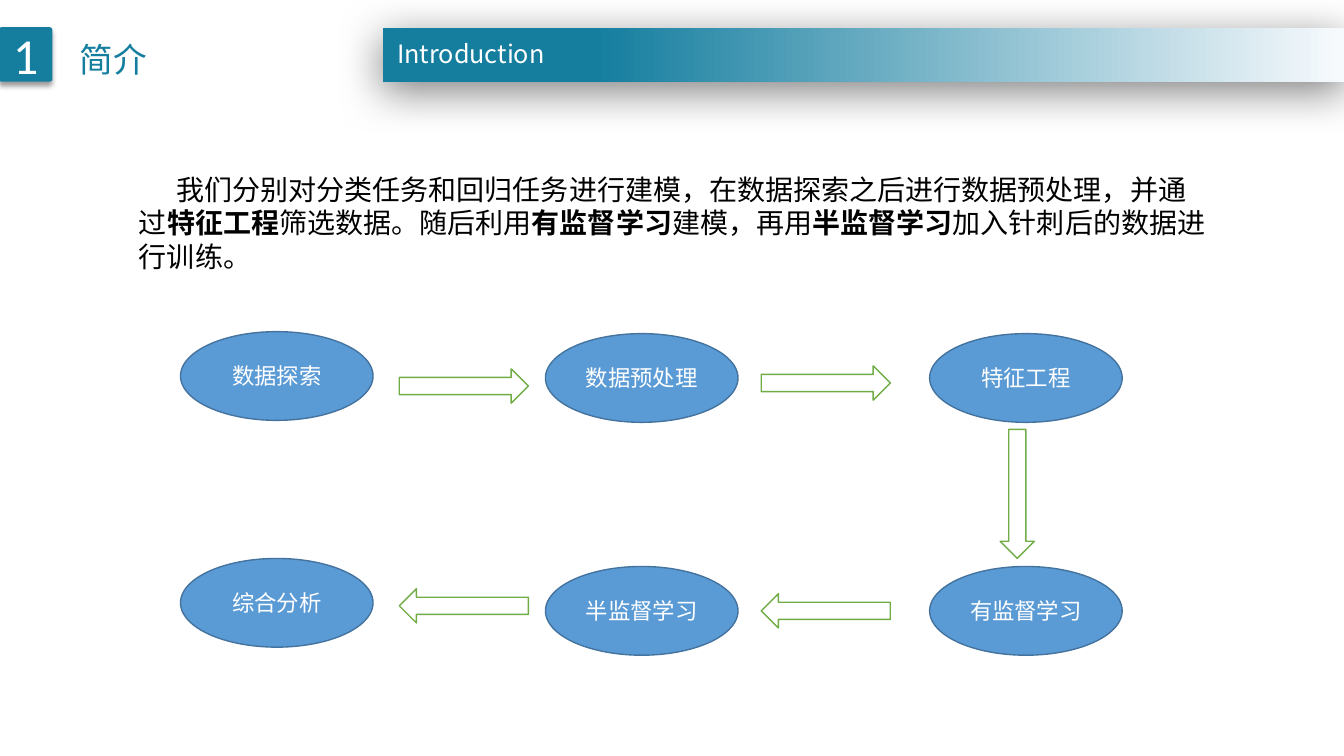
"""Builds the introduction slide with the six-step modelling workflow."""
from lxml import etree
from pptx import Presentation
from pptx.dml.color import RGBColor
from pptx.enum import shapes, text
from pptx.oxml import ns
from pptx.util import Inches, Pt

TEAL = RGBColor(0x15, 0x7E, 0x9F)
PALE = RGBColor(0xF7, 0xFA, 0xFD)
BLUE = RGBColor(0x5B, 0x9B, 0xD5)
BLUE_EDGE = RGBColor(0x43, 0x73, 0x9E)
GREEN = RGBColor(0x70, 0xAD, 0x47)
WHITE = RGBColor(0xFF, 0xFF, 0xFF)
BLACK = RGBColor(0, 0, 0)
CJK = "Noto Sans CJK SC"
MSO = shapes.MSO_SHAPE


def style(p, size, color, font=CJK, align=text.PP_ALIGN.LEFT):
    p.alignment = align
    p.font.size = Pt(size)
    p.font.name = font
    p.font.color.rgb = color
    r_pr = p._p.xpath("a:pPr/a:defRPr")[0]
    etree.SubElement(r_pr, ns.qn("a:ea"), typeface=CJK)


def add_shadow(sp, alpha, blur, dist, angle):
    sp.shadow.inherit = False
    effects = sp._element.spPr.find(ns.qn("a:effectLst"))
    shadow = etree.SubElement(effects, ns.qn("a:outerShdw"), blurRad=str(Pt(blur)),
                              dist=str(Pt(dist)), dir=str(angle * 60000),
                              algn="ctr", rotWithShape="0")
    clr = etree.SubElement(shadow, ns.qn("a:srgbClr"), val=str(BLACK))
    etree.SubElement(clr, ns.qn("a:alpha"), val=str(alpha * 1000))


prs = Presentation()
prs.slide_width, prs.slide_height = Inches(13.33), Inches(7.5)
s = prs.slides.add_slide(prs.slide_layouts[6])

bar = s.shapes.add_shape(MSO.RECTANGLE, Inches(3.8), Inches(0.28), Inches(9.53), Inches(0.53))
bar.fill.gradient()
bar.fill.gradient_angle = 180
for stop, (position, color) in zip(bar.fill.gradient_stops, [(0, PALE), (0.78, TEAL)]):
    stop.position = position
    stop.color.rgb = color
bar.line.fill.background()
add_shadow(bar, 50, 31, 6, 97)

badge = s.shapes.add_shape(MSO.ROUNDED_RECTANGLE, Inches(-0.01), Inches(0.27),
                           Inches(0.53), Inches(0.54))
badge.adjustments[0] = 0.05
badge.fill.solid()
badge.fill.fore_color.rgb = TEAL
badge.line.fill.background()
add_shadow(badge, 40, 4, 3, 90)
badge.text_frame.text = "1"
badge.text_frame.vertical_anchor = text.MSO_ANCHOR.MIDDLE
style(badge.text_frame.paragraphs[0], 36, WHITE, "Calibri", text.PP_ALIGN.CENTER)

for title, left, top, width, height, size, color, align, spacing in [
    ("Introduction", 3.82, 0.33, 1.7, 0.4, 18, WHITE, text.PP_ALIGN.CENTER, 1.0),
    ("简介", 0.69, 0.14, 0.88, 0.64, 24, TEAL, text.PP_ALIGN.LEFT, 1.5),
]:
    tb = s.shapes.add_textbox(Inches(left), Inches(top), Inches(width), Inches(height))
    tb.text_frame.word_wrap = False
    tb.text_frame.text = title
    p = tb.text_frame.paragraphs[0]
    p.line_spacing = spacing
    style(p, size, color, align=align)

tb = s.shapes.add_textbox(Inches(1.28), Inches(1.66), Inches(10.78), Inches(1.11))
tb.text_frame.word_wrap = True
p = tb.text_frame.paragraphs[0]
style(p, 20, BLACK)
p._p.get_or_add_pPr().set("indent", str(Inches(0.37)))
for words, bold in [
    ("我们分别对分类任务和回归任务进行建模，在数据探索之后进行数据预处理，并通过", False),
    ("特征工程", True),
    ("筛选数据。随后利用", False),
    ("有监督学习", True),
    ("建模，再用", False),
    ("半监督学习", True),
    ("加入针刺后的数据进行训练。", False),
]:
    r = p.add_run()
    r.text = words
    r.font.bold = bold

for step, left, top in [
    ("数据探索", 1.79, 3.29), ("数据预处理", 5.41, 3.31), ("特征工程", 9.22, 3.31),
    ("有监督学习", 9.22, 5.62), ("半监督学习", 5.41, 5.62), ("综合分析", 1.79, 5.54),
]:
    sp = s.shapes.add_shape(MSO.OVAL, Inches(left), Inches(top), Inches(1.91), Inches(0.88))
    sp.shadow.inherit = False
    sp.fill.solid()
    sp.fill.fore_color.rgb = BLUE
    sp.line.color.rgb = BLUE_EDGE
    sp.line.width = Pt(1)
    sp.text_frame.text = step
    sp.text_frame.vertical_anchor = text.MSO_ANCHOR.MIDDLE
    style(sp.text_frame.paragraphs[0], 16, WHITE, "Calibri", text.PP_ALIGN.CENTER)

for left, top, rotation in [
    (3.96, 3.66, 0), (7.55, 3.63, 0), (9.45, 4.73, 90), (7.55, 5.89, 180), (3.96, 5.84, 180),
]:
    sp = s.shapes.add_shape(MSO.RIGHT_ARROW, Inches(left), Inches(top), Inches(1.28), Inches(0.34))
    sp.rotation = rotation
    sp.shadow.inherit = False
    sp.fill.solid()
    sp.fill.fore_color.rgb = WHITE
    sp.line.color.rgb = GREEN
    sp.line.width = Pt(1)

prs.save("out.pptx")
